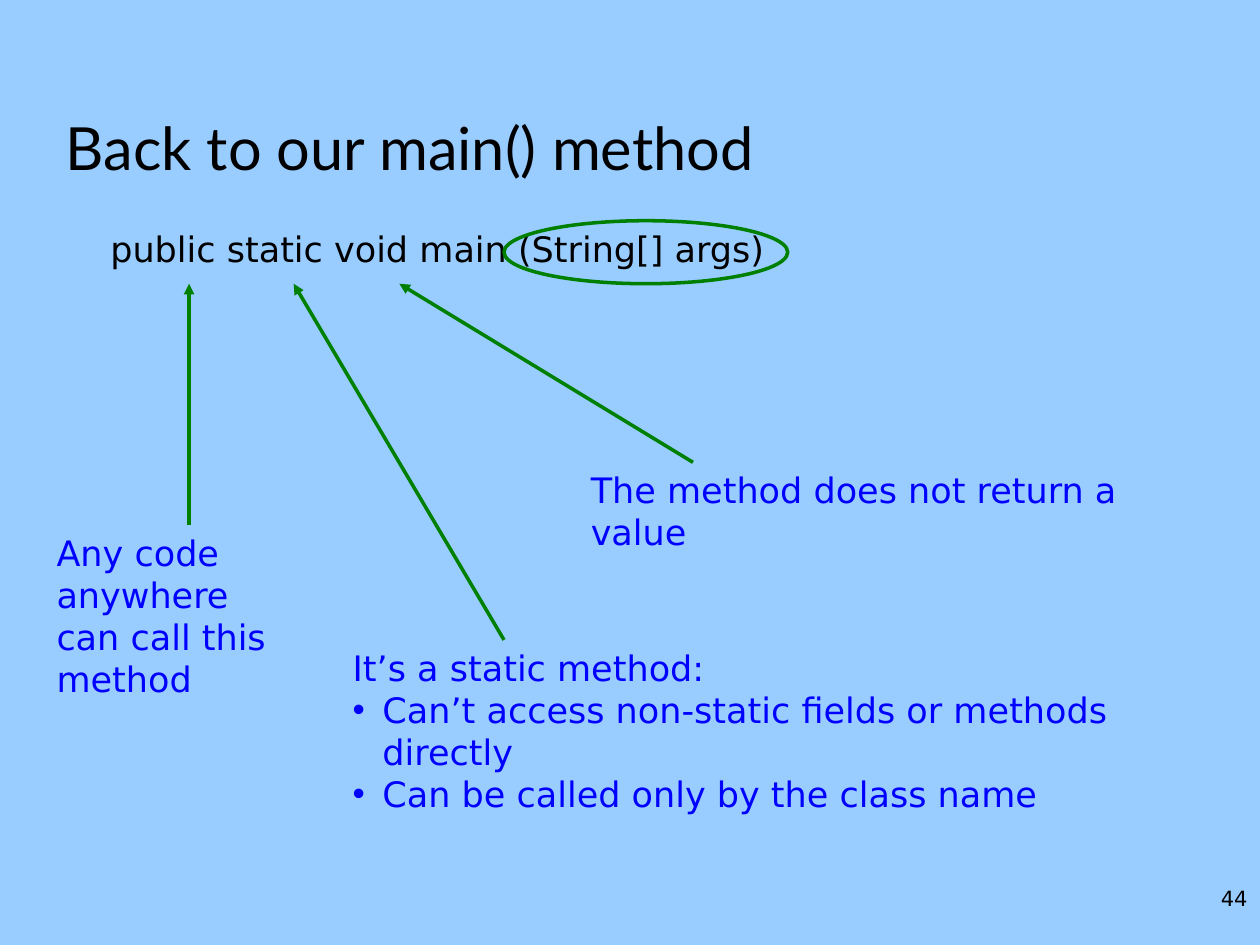
from lxml import etree
from pptx import Presentation
from pptx import util as u
from pptx.dml import color
from pptx.enum import shapes, text
from pptx.oxml import ns

BODY_FONT = "DejaVu Sans"
BLACK, BLUE, GREEN, SKY = "000000", "0000FF", "008000", "99CCFF"
BULLET_INDENT = u.Cm(0.6)


def rgb(value):
    return color.RGBColor.from_string(value)


def place(element, left, top, width, height):
    element.left, element.top = u.Cm(left), u.Cm(top)
    element.width, element.height = u.Cm(width), u.Cm(height)


def format_runs(paragraph, size, hex_color, font=BODY_FONT):
    for run in paragraph.runs:
        run.font.size = u.Pt(size)
        run.font.name = font
        run.font.color.rgb = rgb(hex_color)


def set_indent(paragraph, left, first, bullet=None):
    properties = paragraph._p.get_or_add_pPr()
    properties.set("marL", str(left))
    properties.set("indent", str(first))
    if bullet:
        etree.SubElement(properties, ns.qn("a:buFont")).set("typeface", "Arial")
        etree.SubElement(properties, ns.qn("a:buChar")).set("char", bullet)
    else:
        etree.SubElement(properties, ns.qn("a:buNone"))


def fill_placeholder(placeholder, position, wording, size, font, anchor):
    place(placeholder, *position)
    frame = placeholder.text_frame
    frame.text = wording
    frame.vertical_anchor = anchor
    frame.auto_size = text.MSO_AUTO_SIZE.NONE
    paragraph = frame.paragraphs[0]
    paragraph.space_before = u.Pt(0)
    format_runs(paragraph, size, BLACK, font)
    return paragraph


def add_note(slide, position, lines, bullets=(), size=20, hex_color=BLUE):
    note = slide.shapes.add_textbox(*map(u.Cm, position))
    frame = note.text_frame
    frame.word_wrap = True
    frame.text = "\n".join([*lines, *bullets])
    for paragraph in frame.paragraphs[len(lines):]:
        set_indent(paragraph, BULLET_INDENT, -BULLET_INDENT, "•")
    for paragraph in frame.paragraphs:
        format_runs(paragraph, size, hex_color)
    return frame


def set_outline(line):
    line.color.rgb = rgb(GREEN)
    line.width = u.Pt(2)


def add_arrow(slide, start, end):
    arrow = slide.shapes.add_connector(
        shapes.MSO_CONNECTOR.STRAIGHT, *map(u.Cm, (*start, *end)))
    set_outline(arrow.line)
    properties = arrow._element.spPr
    etree.SubElement(arrow.line._get_or_add_ln(),
                     ns.qn("a:tailEnd")).set("type", "triangle")
    etree.SubElement(properties, ns.qn("a:effectLst"))


def add_ring(slide, position):
    ring = slide.shapes.add_shape(shapes.MSO_SHAPE.OVAL, *map(u.Cm, position))
    ring.shadow.inherit = False
    ring.fill.background()
    set_outline(ring.line)


def main():
    deck = Presentation()
    deck.slide_width, deck.slide_height = u.Cm(25.4), u.Cm(19.05)
    slide = deck.slides.add_slide(deck.slide_layouts[1])
    slide.background.fill.solid()
    slide.background.fill.fore_color.rgb = rgb(SKY)

    # Slide number
    number = add_note(slide, (23.5, 17.73, 1.9, 1.32), ["44"],
                      size=12, hex_color=BLACK)
    number.paragraphs[0].alignment = text.PP_ALIGN.RIGHT

    # Title and method signature
    title = fill_placeholder(
        slide.shapes.title, (1.07, 0.43, 22.86, 3.38),
        "Back to our main() method", 34, "Lato", text.MSO_ANCHOR.BOTTOM)
    title.alignment = text.PP_ALIGN.LEFT
    signature = fill_placeholder(
        slide.placeholders[1], (1.07, 4.45, 23.93, 14.17),
        "public static void main (String[] args)", 20, BODY_FONT,
        text.MSO_ANCHOR.TOP)
    set_indent(signature, u.Cm(0.9), 0)

    # Explanations of the keywords
    add_note(slide, (0.89, 10.59, 7.16, 1.96),
             ["Any code anywhere", "can call this method"])
    add_note(slide, (6.86, 12.9, 16.87, 2.79), ["It’s a static method:"],
             ["Can’t access non-static fields or methods directly",
              "Can be called only by the class name"])
    add_note(slide, (11.66, 9.32, 12.45, 1.12),
             ["The method does not return a value"])

    # Arrows from explanations up to public, static and void
    keyword_y = 5.72
    for start, keyword_x in (((3.81, 10.59), 3.81),
                             ((10.16, 12.9), 5.92),
                             ((13.97, 9.32), 8.05)):
        add_arrow(slide, start, (keyword_x, keyword_y))

    # Ring around the parameter list
    add_ring(slide, (10.16, 4.45, 5.72, 1.27))

    deck.save("out.pptx")


if __name__ == "__main__":
    main()
